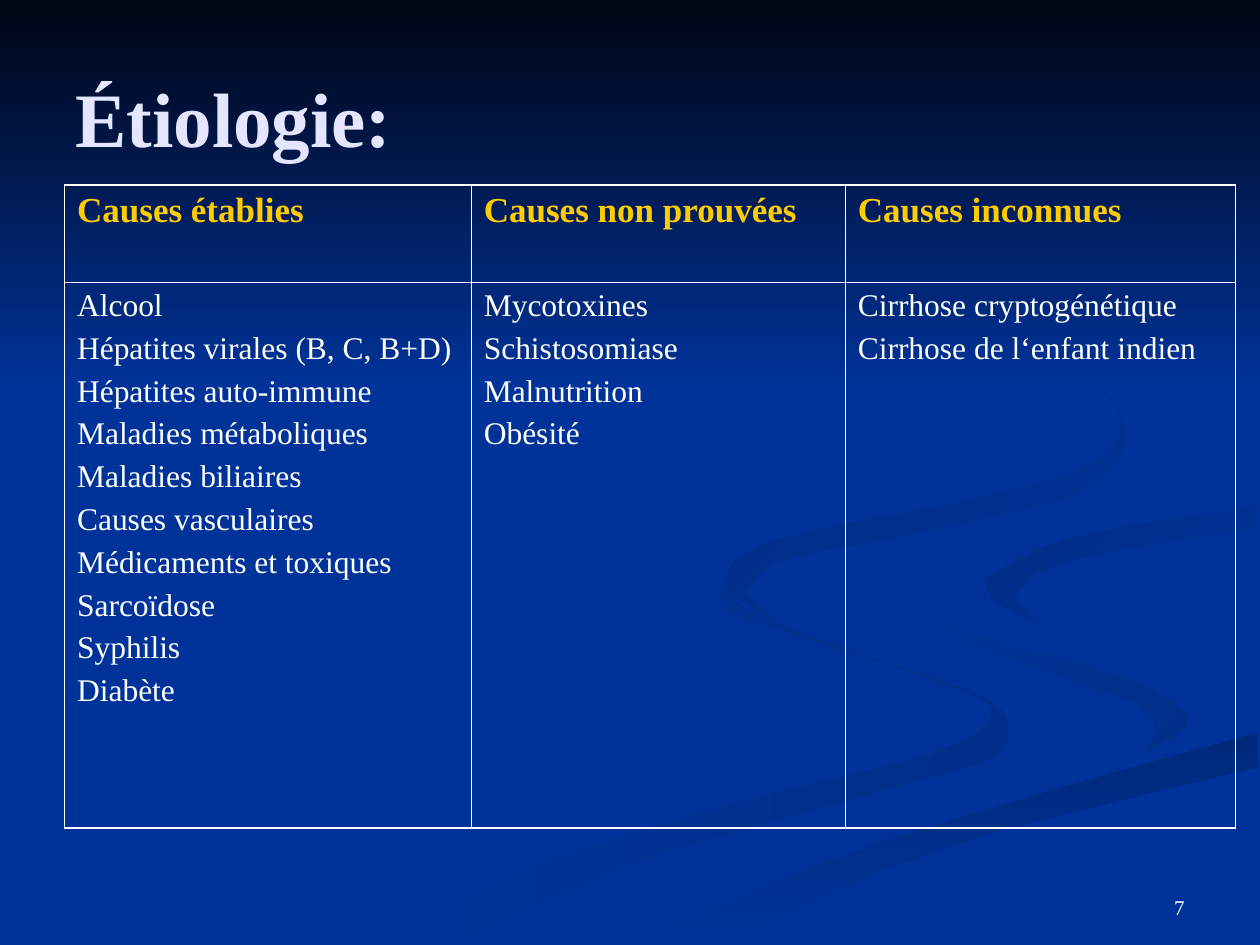
from dataclasses import dataclass

from lxml import etree
from pptx import Presentation
from pptx.dml.color import RGBColor as Rgb
from pptx.enum.shapes import MSO_SHAPE as Preset
from pptx.enum.text import MSO_ANCHOR as Anchor, PP_ALIGN as Align
from pptx.oxml.ns import qn
from pptx.util import Cm, Pt


@dataclass(frozen=True)
class Theme:
    font: str = "Times New Roman"
    blue: str = "003399"
    night: str = "000514"
    lilac: str = "E5E5FF"
    gold: str = "FFCC00"
    white: str = "FFFFFF"
    title_size: float = 44
    header_size: float = 20
    body_size: float = 18
    number_size: float = 12
    outer_line: float = 1.08
    inner_line: float = 0.45


@dataclass(frozen=True)
class Box:
    left: float
    top: float
    width: float
    height: float

    def lengths(self):
        return [Cm(value) for value in (self.left, self.top, self.width, self.height)]


THEME = Theme()
TITLE_STYLE = {"size": THEME.title_size, "bold": True, "color": THEME.lilac}
HEADER_STYLE = {"size": THEME.header_size, "bold": True, "color": THEME.gold}
BODY_STYLE = {"size": THEME.body_size, "bold": False, "color": THEME.white}
NUMBER_STYLE = {"size": THEME.number_size, "bold": False, "color": THEME.white}

CAUSES = {
    "Causes établies": [
        "Alcool", "Hépatites virales (B, C, B+D)", "Hépatites auto-immune",
        "Maladies métaboliques", "Maladies biliaires", "Causes vasculaires",
        "Médicaments et toxiques", "Sarcoïdose", "Syphilis", "Diabète",
    ],
    "Causes non prouvées": ["Mycotoxines", "Schistosomiase", "Malnutrition", "Obésité"],
    "Causes inconnues": ["Cirrhose cryptogénétique", "Cirrhose de l‘enfant indien"],
}
COLUMN_WIDTHS = [8.2, 7.54, 7.87]
ROW_HEIGHTS = [1.96, 11]

# Each ribbon is closed by smooth edges, in thousandths of the page width.
RIBBONS = [
    (("002E8A", THEME.blue, 180), [
        [(575, 459), (572, 476), (593, 491), (682, 520), (770, 551), (785, 570),
         (739, 598), (579, 639), (417, 690), (300, 749)],
        [(361, 749), (499, 687), (676, 634), (780, 605), (800, 581), (781, 553),
         (682, 519), (594, 485), (575, 459)]]),
    (("002E8A", THEME.blue, 225), [
        [(724, 464), (746, 500), (838, 536), (907, 562), (914, 589), (894, 605)],
        [(932, 589), (943, 570), (905, 540), (792, 509), (733, 483), (724, 464)]]),
    (("00297C", THEME.blue, 90), [
        [(503, 749), (696, 669), (998, 581)],
        [(998, 609), (752, 672), (571, 749)]]),
    ((THEME.blue, THEME.blue, 90), [
        [(477, 749), (663, 668), (869, 611), (943, 570), (871, 530), (759, 498),
         (725, 464), (742, 439), (808, 417), (999, 387)],
        [(999, 402), (865, 424), (786, 453), (794, 480), (904, 519), (999, 538)],
        [(999, 581), (696, 669), (503, 749)]]),
    ((THEME.blue, "002C85", 225), [
        [(781, 460), (791, 478), (826, 496)],
        [(805, 474), (828, 453), (896, 435), (998, 420)],
        [(998, 402), (849, 427), (781, 460)]]),
    ((THEME.blue, "002B81", 225), [
        [(762, 233), (846, 279), (889, 335), (861, 370), (763, 398), (615, 429),
         (577, 462), (622, 500)],
        [(593, 470), (624, 444), (739, 421), (855, 391), (894, 344), (843, 275),
         (762, 233)]]),
]


def smooth(edge, steps=5):
    padded = [edge[0], *edge, edge[-1]]
    points = []
    for before, start, end, after in zip(padded, padded[1:], padded[2:], padded[3:]):
        for step in range(steps):
            t = step / steps
            points.append(tuple(
                b + t / 2 * (c - a + t * (2 * a - 5 * b + 4 * c - d
                                          + t * (3 * (b - c) + d - a)))
                for a, b, c, d in zip(before, start, end, after)))
    return points + [edge[-1]]


def paint_gradient(shape, start, end, angle):
    shape.shadow.inherit = False
    shape.line.fill.background()
    shape.fill.gradient()
    shape.fill.gradient_angle = 360 - angle
    for stop, color in zip(shape.fill.gradient_stops, (start, end)):
        stop.color.rgb = Rgb.from_string(color)


def add_backdrop(page, box):
    page.background.fill.solid()
    page.background.fill.fore_color.rgb = Rgb.from_string(THEME.blue)
    left, top, width, height = box.lengths()
    for gradient, edges in RIBBONS:
        points = [point for edge in edges for point in smooth(edge)]
        builder = page.shapes.build_freeform(*points[0], scale=width / 1000)
        builder.add_line_segments(points[1:], close=True)
        paint_gradient(builder.convert_to_shape(left, top), *gradient)
    band = page.shapes.add_shape(Preset.RECTANGLE, left, top, width, Cm(7.82))
    paint_gradient(band, THEME.night, THEME.blue, 90)


def write_lines(frame, lines, style, align=Align.LEFT, space=0):
    for index, line in enumerate(lines):
        para = frame.paragraphs[0] if index == 0 else frame.add_paragraph()
        para.alignment = align
        para.space_before = Pt(space if index else 0)
        span = para.add_run()
        span.text = line
        values = {"name": THEME.font, "size": Pt(style["size"]), "bold": style["bold"]}
        for name, value in values.items():
            setattr(span.font, name, value)
        span.font.color.rgb = Rgb.from_string(style["color"])


def add_label(page, box, text, style, anchor, align):
    frame = page.shapes.add_textbox(*box.lengths()).text_frame
    frame.word_wrap = True
    frame.vertical_anchor = anchor
    write_lines(frame, [text], style, align)


def draw_borders(cell, outer_sides):
    properties = cell._tc.get_or_add_tcPr()
    for side in "LRTB":
        width = THEME.outer_line if side in outer_sides else THEME.inner_line
        line = etree.SubElement(properties, qn(f"a:ln{side}"), w=str(Pt(width)))
        fill = etree.SubElement(line, qn("a:solidFill"))
        etree.SubElement(fill, qn("a:srgbClr"), val=THEME.white)


def add_causes_table(page, box):
    rows, columns = len(ROW_HEIGHTS), len(COLUMN_WIDTHS)
    table = page.shapes.add_table(rows, columns, *box.lengths()).table
    table.first_row = table.horz_banding = False
    for row, height in zip(table.rows, ROW_HEIGHTS):
        row.height = Cm(height)
    for index, (heading, causes) in enumerate(CAUSES.items()):
        table.columns[index].width = Cm(COLUMN_WIDTHS[index])
        sides = {0: "L", columns - 1: "R"}.get(index, "")
        contents = [([heading], HEADER_STYLE, "T"), (causes, BODY_STYLE, "B")]
        for row, (lines, style, edge) in enumerate(contents):
            cell = table.cell(row, index)
            draw_borders(cell, sides + edge)
            cell.fill.background()
            write_lines(cell.text_frame, lines, style, space=4.5)


def build_slide(deck, box):
    page = deck.slides.add_slide(deck.slide_layouts[6])
    add_backdrop(page, box)
    title_box = Box(box.left + 1.27, box.top + 0.76, 22.86, 3.18)
    add_label(page, title_box, "Étiologie:", TITLE_STYLE, Anchor.MIDDLE, Align.LEFT)
    table_box = Box(box.left + 1.3, box.top + 3.73, sum(COLUMN_WIDTHS), sum(ROW_HEIGHTS))
    add_causes_table(page, table_box)
    number_box = Box(box.left + 18.21, box.top + 17.35, 5.92, 1.32)
    add_label(page, number_box, "7", NUMBER_STYLE, Anchor.BOTTOM, Align.RIGHT)


def main():
    deck = Presentation()
    box = Box(0, 0, 25.4, 19.05)
    deck.slide_width, deck.slide_height = Cm(box.width), Cm(box.height)
    build_slide(deck, box)
    deck.save("out.pptx")


if __name__ == "__main__":
    main()
